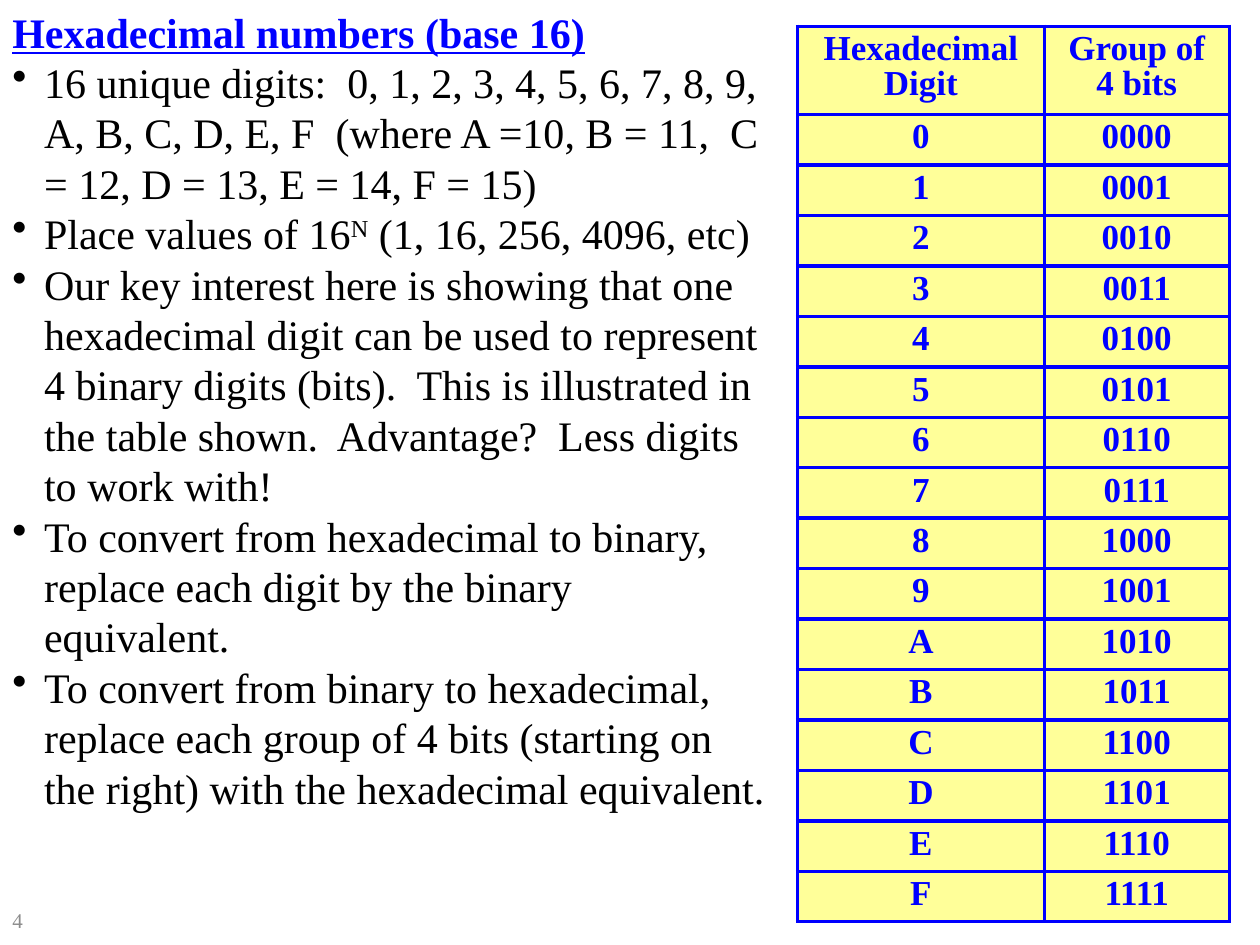
from lxml.etree import SubElement
from pptx import Presentation
from pptx.dml.color import RGBColor
from pptx.enum.text import MSO_ANCHOR, MSO_AUTO_SIZE, PP_ALIGN
from pptx.oxml import parse_xml
from pptx.oxml.ns import nsdecls, qn
from pptx.util import Cm, Pt

COLORS = {"blue": "0000FF", "black": "000000", "yellow": "FFFF99", "gray": "8C8C8C"}
FONT = "Times New Roman"
INDENT = Cm(0.64)
TABS = (INDENT, Cm(1.3))

TITLE = "Hexadecimal numbers (base 16)"
BULLETS = [
    ["16 unique digits:  0, 1, 2, 3, 4, 5, 6, 7, 8, 9, A, B, C, D, E, F  "
     "(where A =10, B = 11,  C = 12, D = 13, E = 14, F = 15)"],
    ["Place values of 16", "N", " (1, 16, 256, 4096, etc)"],
    ["Our key interest here is showing that one hexadecimal digit can be used to "
     "represent 4 binary digits (bits).  This is illustrated in the table shown.  "
     "Advantage?  Less digits to work with!"],
    ["To convert from hexadecimal to binary, replace each digit by the binary equivalent."],
    ["To convert from binary to hexadecimal, replace each group of 4 bits "
     "(starting on the right) with the hexadecimal equivalent."],
]


class SlideBuilder:
    def __init__(self, deck):
        self.page = deck.slides.add_slide(deck.slide_layouts[6])

    def add_span(self, para, text, size, color, bold=False, underline=False):
        span = para.add_run()
        span.text = text
        font = span.font
        font.name, font.size, font.bold, font.underline = FONT, Pt(size), bold, underline
        font.color.rgb = RGBColor.from_string(COLORS[color])
        return span

    def add_box(self, left, top, width, height):
        box = self.page.shapes.add_textbox(Cm(left), Cm(top), Cm(width), Cm(height))
        box.text_frame.word_wrap = True
        return box.text_frame

    def set_hanging(self, para, bullet=None):
        properties = para._p.get_or_add_pPr()
        properties.set("marL", str(INDENT))
        properties.set("indent", str(-INDENT))
        if bullet:
            SubElement(properties, qn("a:buFontTx"))
            SubElement(properties, qn("a:buChar"), char=bullet)
        tabs = SubElement(properties, qn("a:tabLst"))
        for position in TABS:
            SubElement(tabs, qn("a:tab"), pos=str(position), algn="l")

    def add_notes_column(self, title, bullets):
        frame = self.add_box(0, 0, 15.67, 17.5)
        frame.auto_size = MSO_AUTO_SIZE.SHAPE_TO_FIT_TEXT
        para = frame.paragraphs[0]
        self.set_hanging(para)
        self.add_span(para, title, 24, "blue", bold=True, underline=True)
        for pieces in bullets:
            para = frame.add_paragraph()
            self.set_hanging(para, "•")
            for index, text in enumerate(pieces):
                span = self.add_span(para, text, 24, "black")
                if index == 1:
                    span.font._element.set("baseline", "30000")

    def add_page_number(self, number):
        frame = self.add_box(0, 18.03, 5.92, 1.02)
        frame.vertical_anchor = MSO_ANCHOR.MIDDLE
        self.add_span(frame.paragraphs[0], number, 12, "gray")

    def fill_cell(self, cell, text):
        cell.fill.solid()
        cell.fill.fore_color.rgb = RGBColor.from_string(COLORS["yellow"])
        properties = cell._tc.get_or_add_tcPr()
        for index, side in enumerate("LRTB"):
            border = parse_xml(
                f'<a:ln{side} {nsdecls("a")} w="{Pt(2.25)}"><a:solidFill>'
                f'<a:srgbClr val="{COLORS["blue"]}"/></a:solidFill></a:ln{side}>')
            properties.insert(index, border)
        para = cell.text_frame.paragraphs[0]
        para.alignment = PP_ALIGN.CENTER
        para.line_spacing = 0.9
        self.add_span(para, text, 20, "blue", bold=True)

    def add_digit_table(self, rows):
        widths, height, header = (Cm(4.97), Cm(3.73)), Cm(18.03), Cm(1.78)
        frame = self.page.shapes.add_table(
            len(rows), len(widths), Cm(16.08), Cm(0.53), sum(widths), height)
        table = frame.table
        table.first_row = table.horz_banding = False
        for column, width in zip(table.columns, widths):
            column.width = width
        for index, texts in enumerate(rows):
            table.rows[index].height = (height - header) // (len(rows) - 1) if index else header
            for column, text in enumerate(texts):
                self.fill_cell(table.cell(index, column), text)


def main():
    deck = Presentation()
    deck.slide_width, deck.slide_height = Cm(25.4), Cm(19.05)
    builder = SlideBuilder(deck)
    builder.add_notes_column(TITLE, BULLETS)
    digits = [(f"{value:X}", f"{value:04b}") for value in range(16)]
    builder.add_digit_table([("Hexadecimal Digit", "Group of 4 bits"), *digits])
    builder.add_page_number("4")
    deck.save("out.pptx")


if __name__ == "__main__":
    main()
